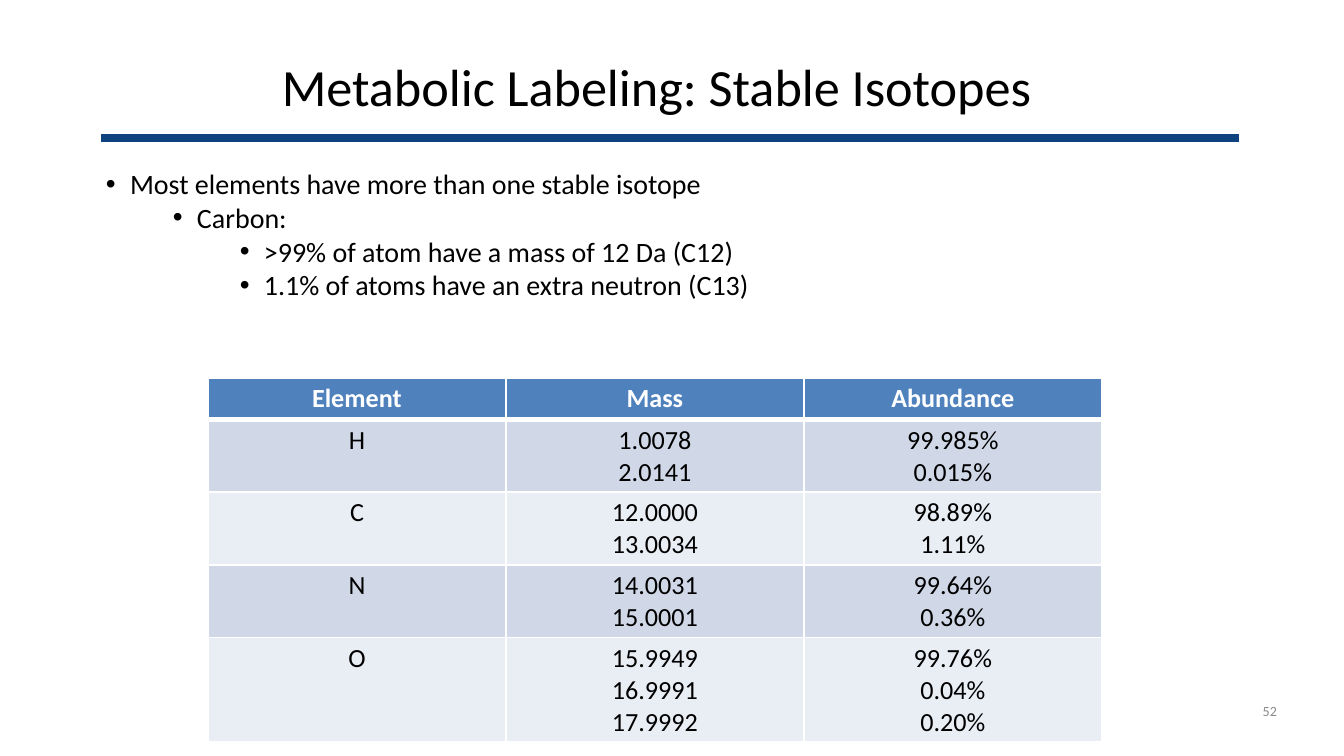
from lxml.etree import SubElement
from pptx import Presentation
from pptx.dml.color import RGBColor
from pptx.enum.shapes import MSO_CONNECTOR
from pptx.enum.text import MSO_ANCHOR, PP_ALIGN
from pptx.oxml.ns import qn
from pptx.util import Pt

PX = 914400 / 134.4
BULLETS = [
    (0, "Most elements have more than one stable isotope"),
    (1, "Carbon:"),
    (2, ">99% of atom have a mass of 12 Da (C12)"),
    (2, "1.1% of atoms have an extra neutron (C13)"),
]
ISOTOPES = [
    ("Element", "Mass", "Abundance"),
    ("H", "1.0078\n2.0141", "99.985%\n0.015%"),
    ("C", "12.0000\n13.0034", "98.89%\n1.11%"),
    ("N", "14.0031\n15.0001", "99.64%\n0.36%"),
    ("O", "15.9949\n16.9991\n17.9992", "99.76%\n0.04%\n0.20%"),
]
ROW_HEIGHTS = [40, 71, 71, 71, 101]


def px(length):
    return round(length * PX)


def color(value):
    return RGBColor.from_string(value)


def write(paragraph, text, size, ink="000000", bold=False, align=PP_ALIGN.LEFT,
          level=None):
    if level is not None:
        paragraph.level = level
        properties = paragraph._p.get_or_add_pPr()
        properties.set("marL", str(px(24 + 67 * level)))
        properties.set("indent", str(px(-24)))
        SubElement(properties, qn("a:buFont"), typeface="Arial")
        SubElement(properties, qn("a:buChar"), char="•")
    paragraph.alignment = align
    run = paragraph.add_run()
    run.text = text
    run.font.name = "Calibri"
    run.font.size = Pt(size)
    run.font.bold = bold
    run.font.color.rgb = color(ink)


def add_text_frame(slide, box, margins=(0, 0), anchor=MSO_ANCHOR.TOP, wrap=True):
    frame = slide.shapes.add_textbox(*map(px, box)).text_frame
    frame.margin_left = frame.margin_right = px(margins[0])
    frame.margin_top = frame.margin_bottom = px(margins[1])
    frame.vertical_anchor = anchor
    frame.word_wrap = wrap
    return frame


def add_title(slide, box, text):
    frame = add_text_frame(slide, box)
    write(frame.paragraphs[0], text, 28, align=PP_ALIGN.CENTER)


def add_rule(slide, left, top, width):
    rule = slide.shapes.add_connector(
        MSO_CONNECTOR.STRAIGHT, px(left), px(top), px(left + width), px(top))
    rule.line.color.rgb = color("0E437D")
    rule.line.width = Pt(4)
    SubElement(rule._element.spPr, qn("a:effectLst"))


def add_bullets(slide, box, bullets):
    frame = add_text_frame(slide, box, margins=(13, 7))
    for index, (level, text) in enumerate(bullets):
        paragraph = frame.add_paragraph() if index else frame.paragraphs[0]
        write(paragraph, text, 15, level=level)


def add_borders(cell, widths):
    properties = cell._tc.get_or_add_tcPr()
    for side, width in zip("LRTB", widths):
        line = SubElement(properties, qn(f"a:ln{side}"), w=str(Pt(width)))
        fill = SubElement(line, qn("a:solidFill"))
        SubElement(fill, qn("a:srgbClr"), val="FFFFFF")


def fill_cell(cell, text, row):
    header = row == 0
    add_borders(cell, (1, 1, 3 if row == 1 else 1, 3 if header else 1))
    cell.fill.solid()
    band = "D0D8E8" if row % 2 else "E9EDF4"
    cell.fill.fore_color.rgb = color("4F81BD" if header else band)
    cell.margin_left = cell.margin_right = px(9)
    cell.margin_top = cell.margin_bottom = px(5)
    for index, line in enumerate(text.split("\n")):
        frame = cell.text_frame
        paragraph = frame.add_paragraph() if index else frame.paragraphs[0]
        write(paragraph, line, 14, ink="FFFFFF" if header else "000000",
              bold=header, align=PP_ALIGN.CENTER)


def add_isotope_table(slide, left, top, column_width, rows):
    columns = len(rows[0])
    box = (left, top, column_width * columns, sum(ROW_HEIGHTS))
    table = slide.shapes.add_table(len(rows), columns, *map(px, box)).table
    table.horz_banding = False
    for column in table.columns:
        column.width = px(column_width)
    for row, texts in enumerate(rows):
        table.rows[row].height = px(ROW_HEIGHTS[row])
        for column, text in enumerate(texts):
            fill_cell(table.cell(row, column), text, row)


def add_page_number(slide, box, number):
    frame = add_text_frame(slide, box, anchor=MSO_ANCHOR.MIDDLE, wrap=False)
    write(frame.paragraphs[0], number, 7.5, ink="888888", align=PP_ALIGN.RIGHT)


def main():
    presentation = Presentation()
    presentation.slide_width = px(1344)
    presentation.slide_height = px(756)
    slide = presentation.slides.add_slide(presentation.slide_layouts[6])
    add_rule(slide, 101, 138, 1138)
    add_title(slide, (29, 54, 1255, 78), "Metabolic Labeling: Stable Isotopes")
    add_page_number(slide, (1261, 703, 16, 16), "52")
    add_bullets(slide, (93, 160, 1168, 149), BULLETS)
    add_isotope_table(slide, 208, 378, 298, ISOTOPES)
    presentation.save("out.pptx")


if __name__ == "__main__":
    main()
